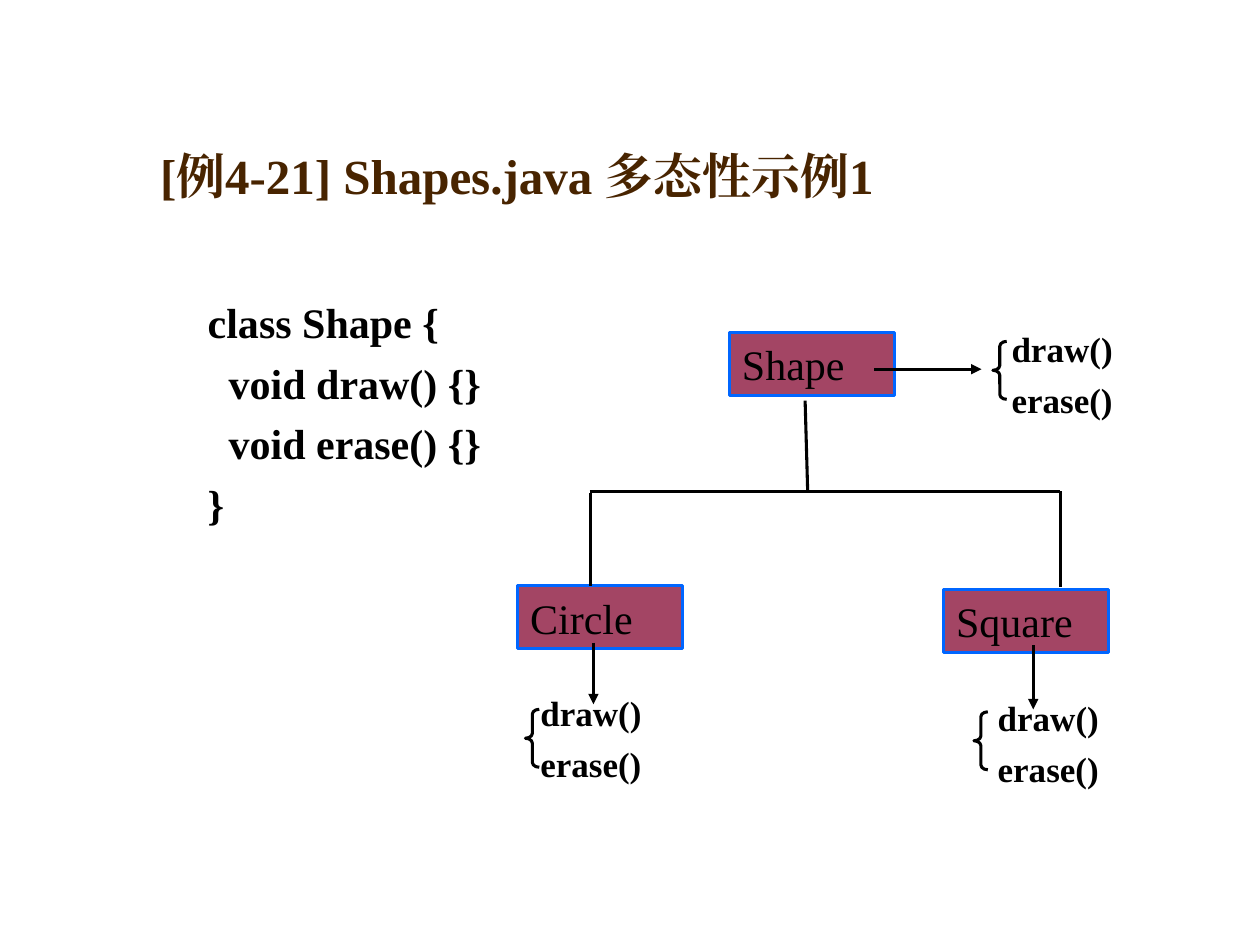
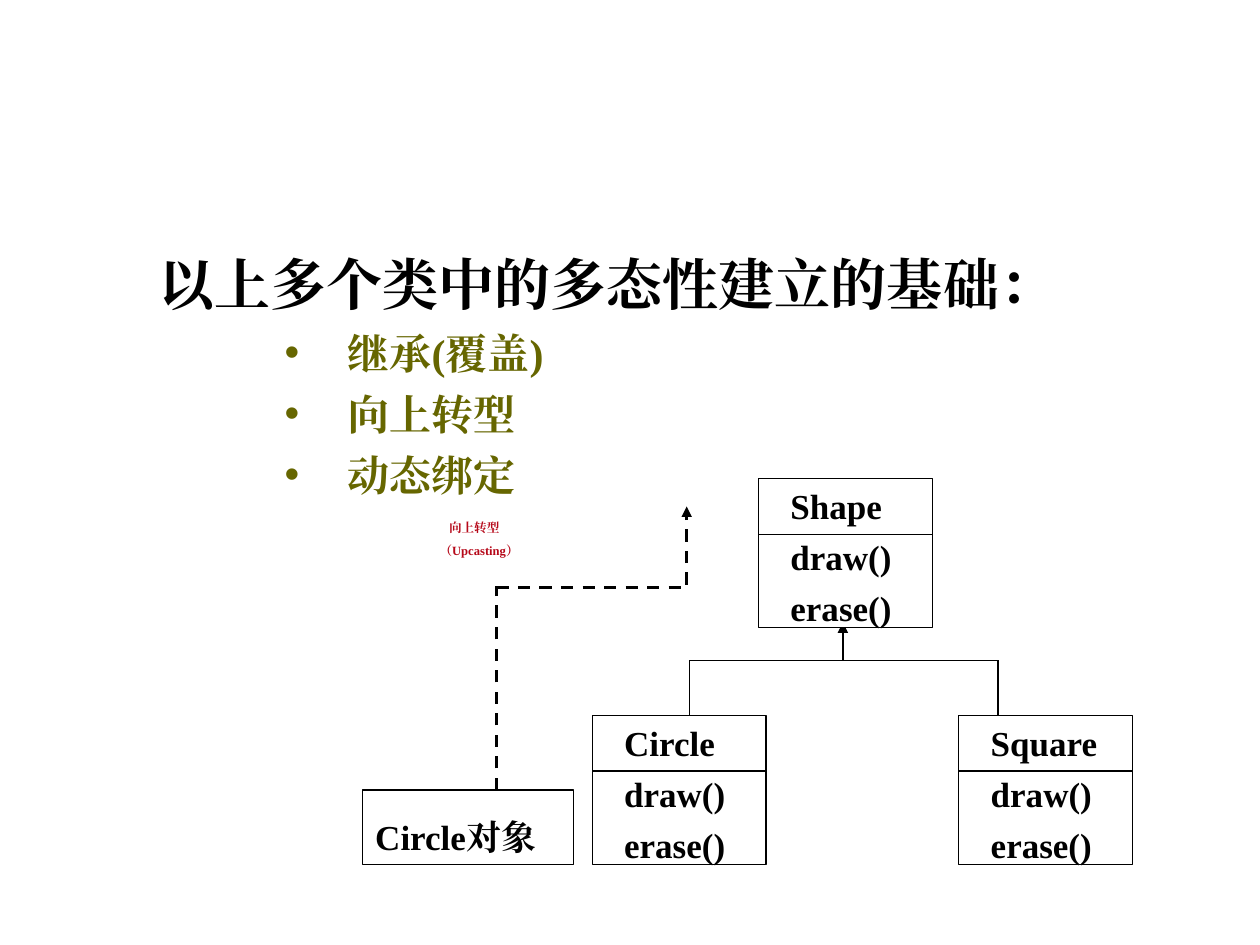
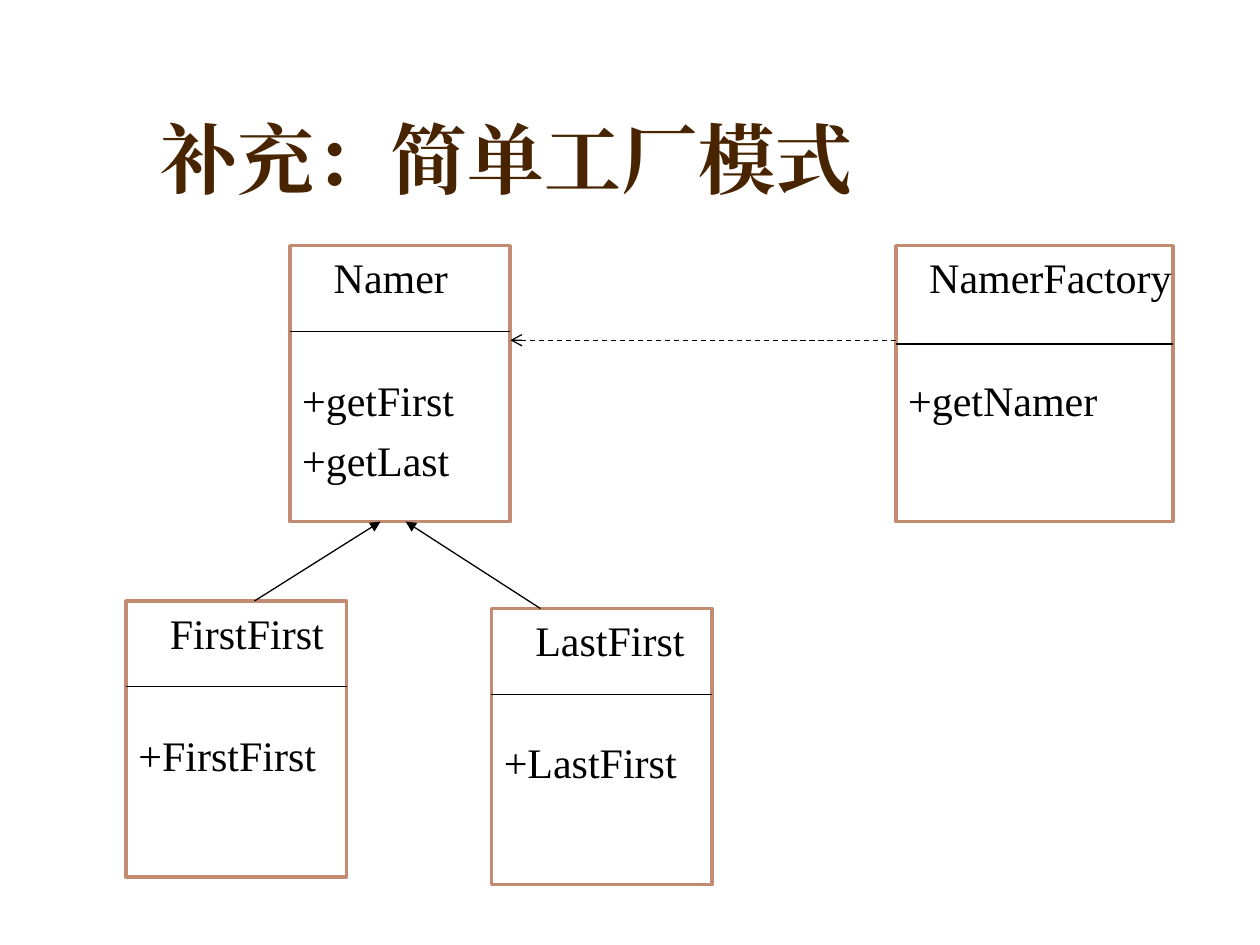
import pptx
import pptx.util
import pptx.dml.color
import pptx.enum.dml
import pptx.enum.shapes
import pptx.enum.text
import pptx.oxml.ns
from lxml import etree

FONT = "Times New Roman"
COLORS = {
    "title": "482400", "text": "000000", "list": "666600", "note": "B60819",
    "node": "A34564", "node_line": "0066FF", "class_line": "C28C73",
    "paper": "FFFFFF",
}
# The grid has 100 columns and 75 rows
COLUMN = pptx.util.Inches(10) // 100
ROW = pptx.util.Inches(7.5) // 75
THIN, THICK = 0.75, 1.75
SHAPES = pptx.enum.shapes.MSO_SHAPE
ANCHOR = pptx.enum.text.MSO_ANCHOR
METHODS = ["draw()", "erase()"]


def color(name):
    return pptx.dml.color.RGBColor.from_string(COLORS[name])


def grid(left, top, width, height):
    return (round(left * COLUMN), round(top * ROW),
            round(width * COLUMN), round(height * ROW))


def add_element(parent, tag, **attributes):
    return etree.SubElement(parent, pptx.oxml.ns.qn(tag), attributes)


# Text
def add_span(para, text, size, ink, bold):
    span = para.add_run()
    span.text = text
    span.font.size = pptx.util.Pt(size)
    span.font.bold = bold
    span.font.color.rgb = color(ink)
    span.font.name = FONT
    add_element(span._r.get_or_add_rPr(), "a:ea", typeface=FONT)


def indent_para(para, margin, first=0):
    properties = para._p.get_or_add_pPr()
    properties.set("marL", str(round(margin * COLUMN)))
    properties.set("indent", str(round(first * COLUMN)))
    return properties


def write_lines(box, lines, size, ink="text", bold=False, gap=None,
                anchor=ANCHOR.TOP, wrap=True):
    """Write one paragraph a line, a quarter of the size apart."""
    frame = box.text_frame
    frame.word_wrap = wrap
    frame.vertical_anchor = anchor
    for number, line in enumerate(lines):
        para = frame.add_paragraph() if number else frame.paragraphs[0]
        para.alignment = pptx.enum.text.PP_ALIGN.LEFT
        para.line_spacing = pptx.util.Pt(size * 1.2)
        if number:
            para.space_before = pptx.util.Pt(gap or size / 4)
        add_span(para, line, size, ink, bold)
    return frame.paragraphs


def add_text(page, place, lines, size, **style):
    box = page.shapes.add_textbox(*grid(*place))
    return write_lines(box, lines, size, **style)


def add_title(page, text, size):
    title = page.shapes.title
    title.left, title.top, title.width, title.height = grid(11.7, 4.2, 85, 12.5)
    title.text_frame.auto_size = pptx.enum.text.MSO_AUTO_SIZE.NONE
    title.text_frame.vertical_anchor = ANCHOR.BOTTOM
    para = title.text_frame.paragraphs[0]
    para.alignment = pptx.enum.text.PP_ALIGN.LEFT
    add_span(para, text, size, "title", True)


def add_list(page, heading, items):
    body = page.placeholders[1]
    body.left, body.top, body.width, body.height = grid(11.6, 19.3, 85, 45)
    frame = body.text_frame
    frame.auto_size = pptx.enum.text.MSO_AUTO_SIZE.NONE
    para = frame.paragraphs[0]
    add_element(indent_para(para, 3.8, -3.8), "a:buNone")
    para.line_spacing = pptx.util.Pt(38.4)
    para.space_before = pptx.util.Pt(0)
    add_span(para, heading, 32, "text", True)
    for item in items:
        para = frame.add_paragraph()
        para.level = 1
        properties = indent_para(para, 15, -5)
        bullet_color = add_element(properties, "a:buClr")
        add_element(bullet_color, "a:srgbClr", val=COLORS["list"])
        add_element(properties, "a:buChar", char="•")
        para.line_spacing = pptx.util.Pt(28.8)
        para.space_before = pptx.util.Pt(6)
        add_span(para, item, 24, "list", True)


# Shapes and lines
def add_box(page, place, fill="paper", line="text", weight=THIN,
            kind=SHAPES.RECTANGLE):
    box = page.shapes.add_shape(kind, *grid(*place))
    box.shadow.inherit = False
    if fill:
        box.fill.solid()
        box.fill.fore_color.rgb = color(fill)
    else:
        box.fill.background()
    box.line.color.rgb = color(line)
    box.line.width = pptx.util.Pt(weight)
    return box


def add_line(page, start, end, weight=THIN, head=None, dashed=False):
    points = grid(*start, *end)
    line = page.shapes.add_connector(
        pptx.enum.shapes.MSO_CONNECTOR.STRAIGHT, *points)
    line.line.color.rgb = color("text")
    line.line.width = pptx.util.Pt(weight)
    if dashed:
        line.line.dash_style = pptx.enum.dml.MSO_LINE.DASH
    if head:
        add_element(line.line._get_or_add_ln(), "a:tailEnd", type=head)
    add_element(line._element.spPr, "a:effectLst")


# Diagram parts
def add_node(page, left, top, name):
    node = add_box(page, (left, top, 13.1, 5), "node", "node_line", THICK)
    write_lines(node, [name], 24)


def add_methods(page, brace_place, text_place):
    brace = add_box(page, (*brace_place, 1.1, 4.6), None, weight=THICK,
                    kind=SHAPES.LEFT_BRACE)
    brace.adjustments[0] = 0.35
    add_text(page, (*text_place, 11, 8.4), METHODS, 20, bold=True)


def add_method_class(page, left, top, name):
    add_box(page, (left, top, 13.8, 11.8))
    add_line(page, (left, top + 4.4), (left + 13.8, top + 4.4))
    add_text(page, (left + 1.55, top, 12.3, 13.6), [name] + METHODS, 20,
             bold=True)


def add_class(page, left, top, name, methods, width=17.5, divider=6.8,
              name_indent=2.5):
    box = add_box(page, (left, top, width, 21.9), line="class_line", weight=2)
    paras = write_lines(box, [name] + methods, 24, wrap=False)
    indent_para(paras[0], name_indent)
    # The methods start one line lower than the name's next line
    paras[1].space_before = pptx.util.Pt(41)
    add_line(page, (left, top + divider), (left + width, top + divider))


# Slides
def build_shapes_example(page):
    add_title(page, "[例4-21] Shapes.java 多态性示例1", 28)
    code = ["class Shape {", "  void draw() {}", "  void erase() {}", "}"]
    add_text(page, (15.5, 23, 24.5, 19.5), code, 24, bold=True,
             anchor=ANCHOR.MIDDLE)
    for left, top, name in [(57.9, 26.4, "Shape"), (41.1, 46.5, "Circle"),
                            (74.9, 46.8, "Square")]:
        add_node(page, left, top, name)
    for start, end in [((63.9, 31.8), (64.1, 38.9)), ((46.8, 39), (84.1, 39)),
                       ((46.9, 39.1), (46.9, 46.5)),
                       ((84.2, 39), (84.2, 46.6))]:
        add_line(page, start, end, THICK)
    for start, end in [((69.4, 29.3), (77.9, 29.3)),
                       ((47.1, 51), (47.1, 55.9)),
                       ((82, 51.2), (82, 56.3))]:
        add_line(page, start, end, THICK, "triangle")
    for brace_place, text_place in [((78.8, 27.1), (79.3, 25.5)),
                                    ((41.7, 56.3), (41.9, 54.4)),
                                    ((77.3, 56.5), (78.2, 54.8))]:
        add_methods(page, brace_place, text_place)


def build_foundations(page):
    title = page.shapes.title._element
    title.getparent().remove(title)
    add_list(page, "以上多个类中的多态性建立的基础：",
             ["继承(覆盖)", "向上转型", "动态绑定"])
    note = add_text(page, (33.9, 40.8, 24.5, 4.3), ["向上转型", "（Upcasting）"],
                    7.2, ink="note", bold=True, gap=4.5)
    indent_para(note[0], 0.75)
    # Inheritance tree
    add_line(page, (66.9, 52.4), (66.9, 49.4), head="triangle")
    add_line(page, (54.7, 52.4), (79.2, 52.4))
    for column in (54.7, 79.2):
        add_line(page, (column, 52.4), (column, 56.8))
    for left, top, name in [(47, 56.8, "Circle"), (76.1, 56.8, "Square"),
                            (60.2, 38, "Shape")]:
        add_method_class(page, left, top, name)
    # Upcasting path
    add_box(page, (28.8, 62.7, 16.7, 5.9))
    add_text(page, (28.8, 64.2, 16.7, 5.9), ["Circle对象"], 20, bold=True)
    add_line(page, (39.4, 62.7), (39.4, 46.5), THICK, dashed=True)
    add_line(page, (39.4, 46.6), (54.7, 46.6), THICK, dashed=True)
    add_line(page, (54.5, 46.4), (54.5, 40.2), THICK, "triangle", True)


def build_factory(page):
    add_title(page, "补充：简单工厂模式", 44)
    add_class(page, 23, 19.5, "Namer", ["+getFirst", "+getLast"])
    add_class(page, 71.1, 19.5, "NamerFactory", ["+getNamer"], 22, 7.8, 1.67)
    add_class(page, 10, 47.7, "FirstFirst", ["+FirstFirst"])
    add_class(page, 39, 48.3, "LastFirst", ["+LastFirst"])
    add_line(page, (20.2, 47.7), (30.2, 41.4), head="triangle")
    add_line(page, (42.9, 48.3), (32.2, 41.4), head="triangle")
    add_line(page, (71.1, 27), (40.5, 27), head="arrow", dashed=True)


def main():
    deck = pptx.Presentation()
    deck.slide_width, deck.slide_height = 100 * COLUMN, 75 * ROW
    title_only, title_and_body = deck.slide_layouts[5], deck.slide_layouts[1]
    for layout, build in [(title_only, build_shapes_example),
                          (title_and_body, build_foundations),
                          (title_only, build_factory)]:
        build(deck.slides.add_slide(layout))
    deck.save("out.pptx")


if __name__ == "__main__":
    main()
